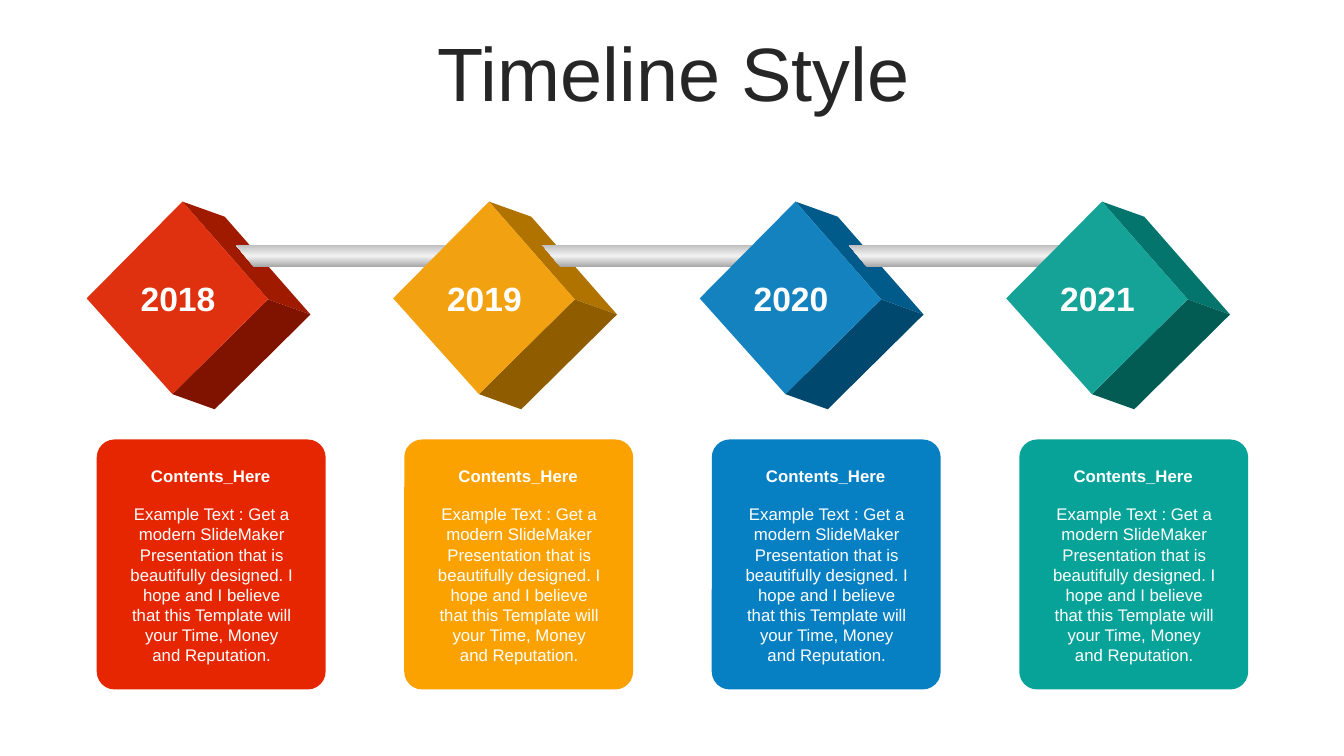
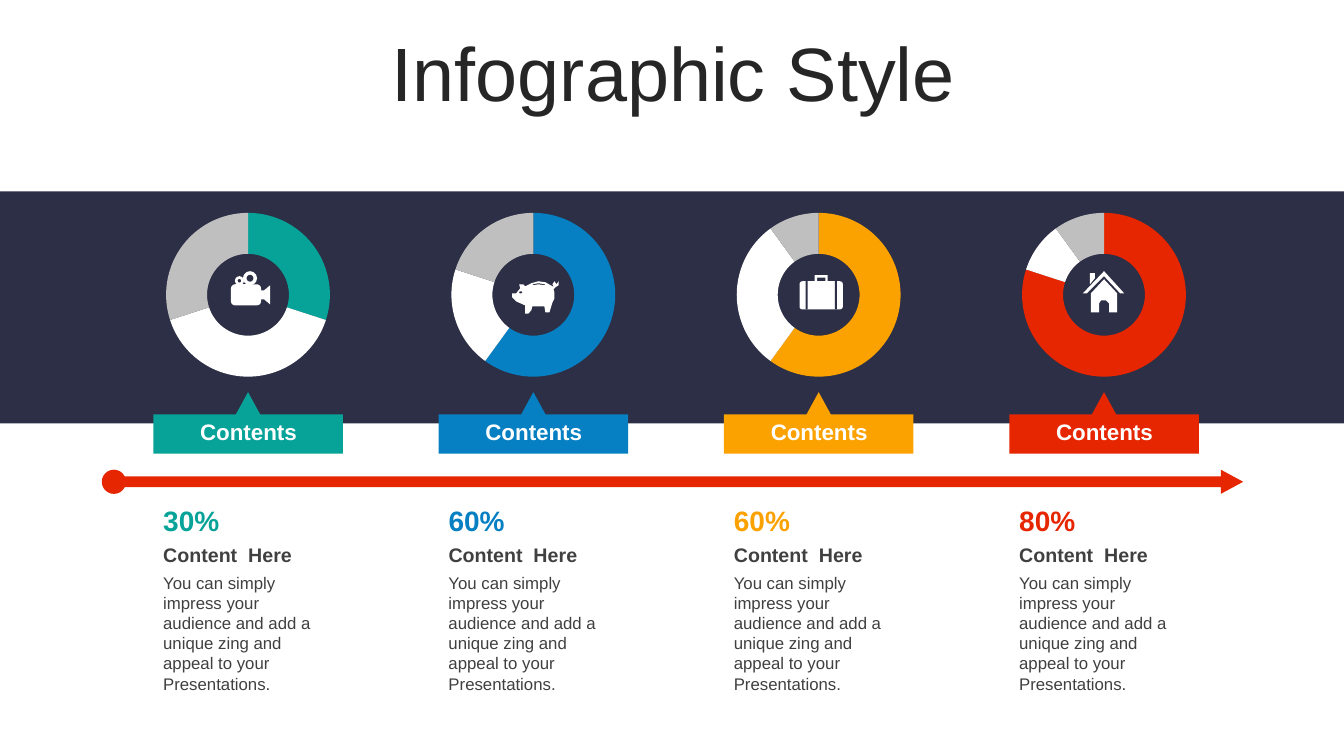
from copy import deepcopy

from lxml import etree
from pptx import Presentation
from pptx.chart.data import CategoryChartData
from pptx.dml.color import RGBColor
from pptx.enum.chart import XL_CHART_TYPE
from pptx.enum.shapes import MSO_SHAPE
from pptx.enum.text import MSO_ANCHOR, PP_ALIGN
from pptx.oxml.ns import qn
from pptx.util import Inches, Pt

DOUGHNUT = XL_CHART_TYPE.DOUGHNUT
RECTANGLE = MSO_SHAPE.RECTANGLE
ROUNDED = MSO_SHAPE.ROUNDED_RECTANGLE
OVAL = MSO_SHAPE.OVAL
DONUT = MSO_SHAPE.DONUT
FRAME = MSO_SHAPE.FRAME
RIGHT_ARROW = MSO_SHAPE.RIGHT_ARROW
TOP, MIDDLE = MSO_ANCHOR.TOP, MSO_ANCHOR.MIDDLE
LEFT, CENTER = PP_ALIGN.LEFT, PP_ALIGN.CENTER

FONT = "Arial"
RED, ORANGE, BLUE, TEAL = "E62601", "FBA200", "0680C3", "07A398"
WHITE, GRAY, NAVY = "FFFFFF", "BFBFBF", "2C2F45"
TITLE_COLOR, BODY_COLOR = "262626", "404040"
PIPE_STOPS = [(0, "A6A6A6"), (0.5, "F2F2F2"), (1, "BFBFBF")]

# year, card colour, then front, upper and lower face of the block
MILESTONES = [
    ("2018", RED, "DF300F", "A01A00", "801300"),
    ("2019", ORANGE, "F2A110", "B07300", "8F5D00"),
    ("2020", BLUE, "1482BF", "005A8A", "00486E"),
    ("2021", TEAL, "15A397", "04756C", "035C54"),
]
CARD_TEXT = (
    "Example Text : Get a modern SlideMaker Presentation that is "
    "beautifully designed. I hope and I believe that this Template will "
    "your Time, Money and Reputation."
)
COLUMN_TEXT = (
    "You can simply impress your audience and add a unique zing and "
    "appeal to your Presentations."
)

# Icon outlines: x from the ring centre, y from the top of the slide
HOUSE = [
    [(0, 2.77), (0.13, 2.91), (0.13, 3.1), (0.05, 3.1), (0.05, 3.01),
     (0.02, 2.98), (-0.03, 2.98), (-0.05, 3.01), (-0.05, 3.1),
     (-0.13, 3.1), (-0.13, 2.91)],
    [(-0.14, 2.71), (-0.09, 2.71), (-0.09, 2.76), (-0.14, 2.82)],
    [(0, 2.69), (0.2, 2.91), (0.16, 2.91), (0, 2.74), (-0.17, 2.91),
     (-0.21, 2.91)],
]
PIG = [
    [(0.05, 2.79), (0.12, 2.8), (0.19, 2.84), (0.2, 2.84), (0.19, 2.82),
     (0.21, 2.79), (0.23, 2.82), (0.25, 2.79), (0.25, 2.83), (0.22, 2.85),
     (0.2, 2.87), (0.21, 2.9), (0.21, 2.96), (0.19, 3), (0.16, 3.1),
     (0.12, 3.1), (0.11, 3.04), (-0.01, 3.04), (-0.02, 3.08),
     (-0.05, 3.11), (-0.08, 3.11), (-0.08, 3.03), (-0.17, 2.99),
     (-0.21, 2.95), (-0.21, 2.91), (-0.17, 2.91), (-0.13, 2.86),
     (-0.14, 2.82), (-0.1, 2.82), (-0.08, 2.84), (-0.02, 2.81)],
    [(-0.01, 2.82), (0, 2.83), (0.05, 2.82), (0.11, 2.83), (0.12, 2.82),
     (0.05, 2.81)],
]
LENS = [[(0.12, 2.88), (0.16, 2.88), (0.22, 2.83), (0.22, 3.02),
         (0.16, 2.97), (0.12, 2.97)]]


def rgb(color):
    return RGBColor.from_string(color)


class Deck:
    """Holds the shared style and the slide being drawn."""

    def __init__(self):
        self.presentation = Presentation()
        self.presentation.slide_width = Inches(13.33)
        self.presentation.slide_height = Inches(7.5)
        self.slide = None

    def add_slide(self, title):
        layout = self.presentation.slide_layouts[6]
        self.slide = self.presentation.slides.add_slide(layout)
        box = self.text(title, 0.35, 0.37, 12.66, 0.79, 54, TITLE_COLOR,
                        align=CENTER, anchor=MIDDLE)
        box.text_frame.paragraphs[0].line_spacing = 0.9

    def text(self, text, left, top, width, height, size, color,
             bold=False, align=LEFT, anchor=TOP):
        box = self.slide.shapes.add_textbox(
            Inches(left), Inches(top), Inches(width), Inches(height))
        frame = box.text_frame
        frame.word_wrap = True
        frame.vertical_anchor = anchor
        frame.text = text
        paragraph = frame.paragraphs[0]
        paragraph.alignment = align
        font = paragraph.runs[0].font
        font.name, font.size, font.bold = FONT, Pt(size), bold
        font.color.rgb = rgb(color)
        return box

    def finish(self, shape, color):
        """Give a shape a flat fill with no line or shadow."""
        shape.shadow.inherit = False
        shape.line.fill.background()
        shape.fill.solid()
        shape.fill.fore_color.rgb = rgb(color)
        return shape

    def shape(self, kind, left, top, width, height, color, adjust=()):
        shape = self.slide.shapes.add_shape(
            kind, Inches(left), Inches(top), Inches(width), Inches(height))
        for index, value in enumerate(adjust):
            shape.adjustments[index] = value
        return self.finish(shape, color)

    def outline(self, contours, color, shift=0):
        """Draw closed polygons as one shape, moved right by shift."""
        builder = None
        for contour in contours:
            points = [(Inches(x + shift), Inches(y)) for x, y in contour]
            if builder is None:
                builder = self.slide.shapes.build_freeform(*points[0])
            else:
                builder.move_to(*points[0])
            builder.add_line_segments(points[1:], close=True)
        return self.finish(builder.convert_to_shape(), color)

    def pipe(self, left):
        shape = self.outline([[(0, 2.43), (2.1, 2.43), (2.1, 2.65),
                               (0.18, 2.65)]], GRAY, left)
        shape.fill.gradient()
        shape.fill.gradient_angle = 90
        stops = shape._element.spPr.find(".//" + qn("a:gsLst"))
        stops.append(deepcopy(stops[0]))
        for stop, (position, color) in zip(shape.fill.gradient_stops,
                                           PIPE_STOPS):
            stop.position = position
            stop.color.rgb = rgb(color)

    def block(self, left, front, upper, lower):
        """Draw a tilted block from its three visible faces."""
        west, north, east, south = (0, 2.96), (0.95, 2), (1.8, 2.97), (0.85, 3.91)
        back_north, back_east, back_south = (
            (x + 0.42, y + 0.15) for x, y in (north, east, south))
        self.outline([[north, back_north, back_east, east]], upper, left)
        self.outline([[east, back_east, back_south, south]], lower, left)
        self.outline([[west, north, east, south]], front, left)

    def card(self, left, color):
        self.shape(ROUNDED, left, 4.36, 2.27, 2.48, color, [0.078])
        self.text(CARD_TEXT, left + 0.23, 4.95, 1.82, 1.72, 12, WHITE,
                  align=CENTER)
        self.text("Contents_Here", left + 0.22, 4.57, 1.82, 0.3, 12, WHITE,
                  bold=True, align=CENTER)

    def ring(self, left, values, color):
        data = CategoryChartData()
        data.categories = ["1", "2", "3"]
        data.add_series("Series 1", values)
        chart = self.slide.shapes.add_chart(
            DOUGHNUT, Inches(left), Inches(1.98), Inches(1.94),
            Inches(1.89), data).chart
        chart.has_title = False
        chart.has_legend = False
        chart.font.name, chart.font.size = FONT, Pt(18)
        chart.font.color.rgb = rgb("000000")
        plot = chart.plots[0]
        plot.vary_by_categories = True
        for index, slice_color in enumerate((color, WHITE, GRAY)):
            style = plot.series[0].points[index].format
            style.fill.solid()
            style.fill.fore_color.rgb = rgb(slice_color)
            style.line.fill.background()
        root = chart._chartSpace
        root.find(".//" + qn("c:holeSize")).set("val", "69")
        area = root.find(".//" + qn("c:plotArea"))
        for old_layout in area.findall(qn("c:layout")):
            area.remove(old_layout)
        layout = etree.Element(qn("c:layout"))
        manual = etree.SubElement(layout, qn("c:manualLayout"))
        for tag, value in (("layoutTarget", "inner"), ("xMode", "edge"),
                           ("yMode", "edge"), ("x", "0.08"), ("y", "0.07"),
                           ("w", "0.84"), ("h", "0.86")):
            etree.SubElement(manual, qn("c:" + tag)).set("val", value)
        area.insert(0, layout)

    def tag(self, left, color):
        """Draw a label whose top edge points up at its ring."""
        self.outline([[(0, 4.11), (0.82, 4.11), (0.94, 3.89), (1.06, 4.11),
                       (1.88, 4.11), (1.88, 4.5), (0, 4.5)]], color, left)
        self.text("Contents", left + 0.26, 4.1, 1.37, 0.37, 16, WHITE,
                  bold=True, align=CENTER, anchor=MIDDLE)

    def camera(self, center):
        self.shape(ROUNDED, center - 0.17, 2.82, 0.3, 0.21, WHITE, [0.2])
        self.shape(DONUT, center - 0.05, 2.69, 0.14, 0.14, WHITE, [0.25])
        self.shape(DONUT, center - 0.13, 2.74, 0.09, 0.09, WHITE, [0.3])
        self.outline(LENS, WHITE, center)

    def pig(self, center):
        self.outline(PIG, WHITE, center)
        self.shape(OVAL, center - 0.14, 2.89, 0.03, 0.02, NAVY)

    def suitcase(self, center):
        self.shape(FRAME, center - 0.04, 2.73, 0.13, 0.12, WHITE, [0.2])
        self.shape(ROUNDED, center - 0.19, 2.79, 0.43, 0.28, WHITE, [0.1])
        for offset in (-0.13, 0.16):
            self.shape(RECTANGLE, center + offset, 2.79, 0.02, 0.28, NAVY)

    def house(self, center):
        self.outline(HOUSE, WHITE, center)


def timeline_slide(deck):
    deck.add_slide("Timeline Style")
    block_step, card_step = 3.04, 3.05
    for index, (_, _, *faces) in enumerate(MILESTONES):
        deck.block(0.86 + index * block_step, *faces)
        if index < len(MILESTONES) - 1:
            deck.pipe(2.34 + index * block_step)
    for index, (year, color, *_) in enumerate(MILESTONES):
        deck.text(year, 1.29 + index * block_step, 2.71, 0.95, 0.5, 24,
                  WHITE, bold=True, align=CENTER)
        deck.card(0.96 + index * card_step, color)


def infographic_slide(deck):
    deck.add_slide("Infographic Style")
    deck.shape(RECTANGLE, 0, 1.9, 13.33, 2.3, NAVY)
    deck.shape(RIGHT_ARROW, 1.19, 4.66, 11.14, 0.24, RED, [0.451, 0.923])
    deck.shape(OVAL, 1.01, 4.66, 0.24, 0.24, RED)
    columns = [
        ((30, 40, 30), TEAL, deck.camera),
        ((60, 20, 20), BLUE, deck.pig),
        ((60, 30, 10), ORANGE, deck.suitcase),
        ((80, 10, 10), RED, deck.house),
    ]
    for index, (values, color, icon) in enumerate(columns):
        left = 1.52 + index * 2.83
        deck.ring(left - 0.03, values, color)
        deck.tag(left, color)
        deck.text(f"{values[0]}%", left, 4.94, 1.88, 0.44, 20, color,
                  bold=True, anchor=MIDDLE)
        deck.text("Content  Here", left, 5.33, 1.88, 0.34, 14, BODY_COLOR,
                  bold=True, anchor=MIDDLE)
        deck.text(COLUMN_TEXT, left, 5.63, 1.87, 1.11, 12, BODY_COLOR)
        icon(left + 0.94)


def main():
    deck = Deck()
    timeline_slide(deck)
    infographic_slide(deck)
    deck.presentation.save("out.pptx")


if __name__ == "__main__":
    main()
